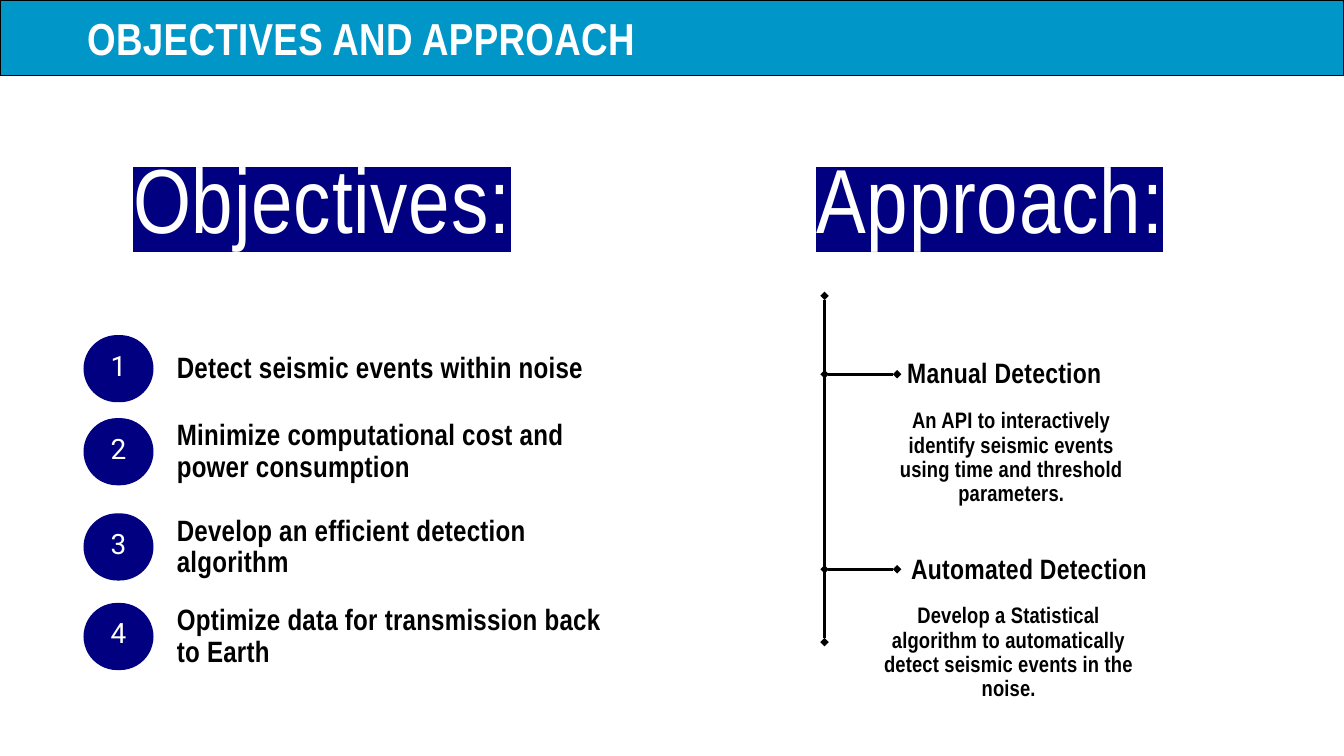
from lxml.etree import SubElement
from pptx import Presentation
from pptx.dml.color import RGBColor
from pptx.enum.shapes import MSO_CONNECTOR, MSO_SHAPE
from pptx.enum.text import MSO_ANCHOR, PP_ALIGN
from pptx.oxml import parse_xml
from pptx.oxml.ns import nsdecls, qn
from pptx.util import Pt

BLACK = RGBColor(0x00, 0x00, 0x00)
WHITE = RGBColor(0xFF, 0xFF, 0xFF)
NAVY = RGBColor(0x00, 0x00, 0x80)
BLUE = RGBColor(0x00, 0x96, 0xC7)
NARROW, ROBOTO = "Arial Narrow", "Roboto"

OBJECTIVES = [  # offset from the top of the list, text
    (0, "Detect seismic events within noise"),
    (89, "Minimize computational cost and power consumption"),
    (191, "Develop an efficient detection algorithm"),
    (287, "Optimize data for transmission back to Earth"),
]
BRANCHES = [  # offset down the axis, title, title width, text, its left and width
    (84, "Manual Detection", 230,
     "An API to interactively identify seismic events using time and "
     "threshold parameters.", 64.7, 270.7),
    (293, "Automated Detection", 283,
     "Develop a Statistical algorithm to automatically detect seismic "
     "events in the noise.", 59, 276.5),
]


def add_text(slide, box, text, size, spacing, color=BLACK, font=NARROW, bold=True,
             align=PP_ALIGN.CENTER, anchor=MSO_ANCHOR.TOP, track=0):
    """Add a one-paragraph text box; track is the letter spacing in points."""
    sp = slide.shapes.add_textbox(*map(Pt, box))
    tf = sp.text_frame
    tf.word_wrap = True
    tf.vertical_anchor = anchor
    tf.margin_left = tf.margin_right = tf.margin_top = tf.margin_bottom = 0
    tf.text = text
    p = tf.paragraphs[0]
    p.alignment = align
    p.line_spacing = Pt(spacing)
    r = p.runs[0]
    r.font.name, r.font.size, r.font.bold = font, Pt(size), bold
    r.font.color.rgb = color
    if track:
        r.font._element.set("spc", str(round(track * 100)))
    return sp


def add_shape(slide, kind, box, fill):
    sp = slide.shapes.add_shape(kind, *map(Pt, box))
    sp.shadow.inherit = False
    sp.fill.solid()
    sp.fill.fore_color.rgb = fill
    sp.line.fill.background()
    return sp


def add_diamond_line(slide, x1, y1, x2, y2):
    line = slide.shapes.add_connector(MSO_CONNECTOR.STRAIGHT, *map(Pt, (x1, y1, x2, y2)))
    line.line.color.rgb = BLACK
    line.line.width = Pt(3)
    ln = line.line._get_or_add_ln()
    for end in ("a:headEnd", "a:tailEnd"):
        SubElement(ln, qn(end), type="diamond")
    SubElement(line._element.spPr, qn("a:effectLst"))
    return line


def add_banner(slide, x, y, w, h):
    bar = add_shape(slide, MSO_SHAPE.RECTANGLE, (x, y, w, h), BLUE)
    bar.line.color.rgb = BLACK
    bar.line.width = Pt(1.25)
    add_text(slide, (x + 93.5, y, w - 93.5, h), "OBJECTIVES AND APPROACH", 48, 57.6,
             WHITE, align=PP_ALIGN.LEFT, anchor=MSO_ANCHOR.MIDDLE, track=0.4)


def add_heading(slide, x, y, w, h, text):
    sp = add_text(slide, (x, y, w, h), text, 97.5, 105.3, WHITE, bold=False, track=0.9)
    fill = sp.text_frame.paragraphs[0].runs[0].font._element.find(qn("a:solidFill"))
    fill.addnext(parse_xml(
        f'<a:highlight {nsdecls("a")}><a:srgbClr val="{NAVY}"/></a:highlight>'))


def add_objectives(slide, x, y, w):
    badge_w, badge_h, text_x = 75, 72, 100
    for number, (dy, text) in enumerate(OBJECTIVES, 1):
        top = y + dy
        badge = add_shape(slide, MSO_SHAPE.ROUNDED_RECTANGLE,
                          (x, top, badge_w, badge_h), NAVY)
        badge.adjustments[0] = 0.5
        add_text(slide, (x, top - 14, badge_w, badge_h + 14), str(number), 30, 42,
                 WHITE, ROBOTO, bold=False, anchor=MSO_ANCHOR.MIDDLE)
        add_text(slide, (x + text_x, top, w - text_x, badge_h), text, 31.5, 34,
                 align=PP_ALIGN.LEFT, anchor=MSO_ANCHOR.MIDDLE, track=0.3)


def add_approach(slide, x, y, h):
    """Draw a vertical axis with one labelled branch per detection method."""
    branch_w, title_h = 77.7, 32
    add_diamond_line(slide, x, y, x, y + h)
    for dy, title, title_w, text, text_dx, text_w in BRANCHES:
        mid = y + dy
        label = add_text(slide, (x + branch_w, mid - title_h / 2, title_w, title_h),
                         title, 30, 32.4, track=0.3)
        branch = add_diamond_line(slide, x, mid, x + branch_w, mid)
        branch.end_connect(label, 1)
        add_text(slide, (x + text_dx, mid + 37.4, text_w, 104), text, 24, 25.9, track=0.2)


def main():
    prs = Presentation()
    prs.slide_width, prs.slide_height = Pt(1440), Pt(810)
    slide = prs.slides.add_slide(prs.slide_layouts[6])
    add_banner(slide, 0, 0, 1440, 80.6)
    add_heading(slide, 54, 164, 582, 109, "Objectives:")
    add_heading(slide, 777.6, 164, 566, 109, "Approach:")
    add_objectives(slide, 89.5, 359, 584)
    add_approach(slide, 883.5, 317, 371)
    prs.save("out.pptx")


if __name__ == "__main__":
    main()
